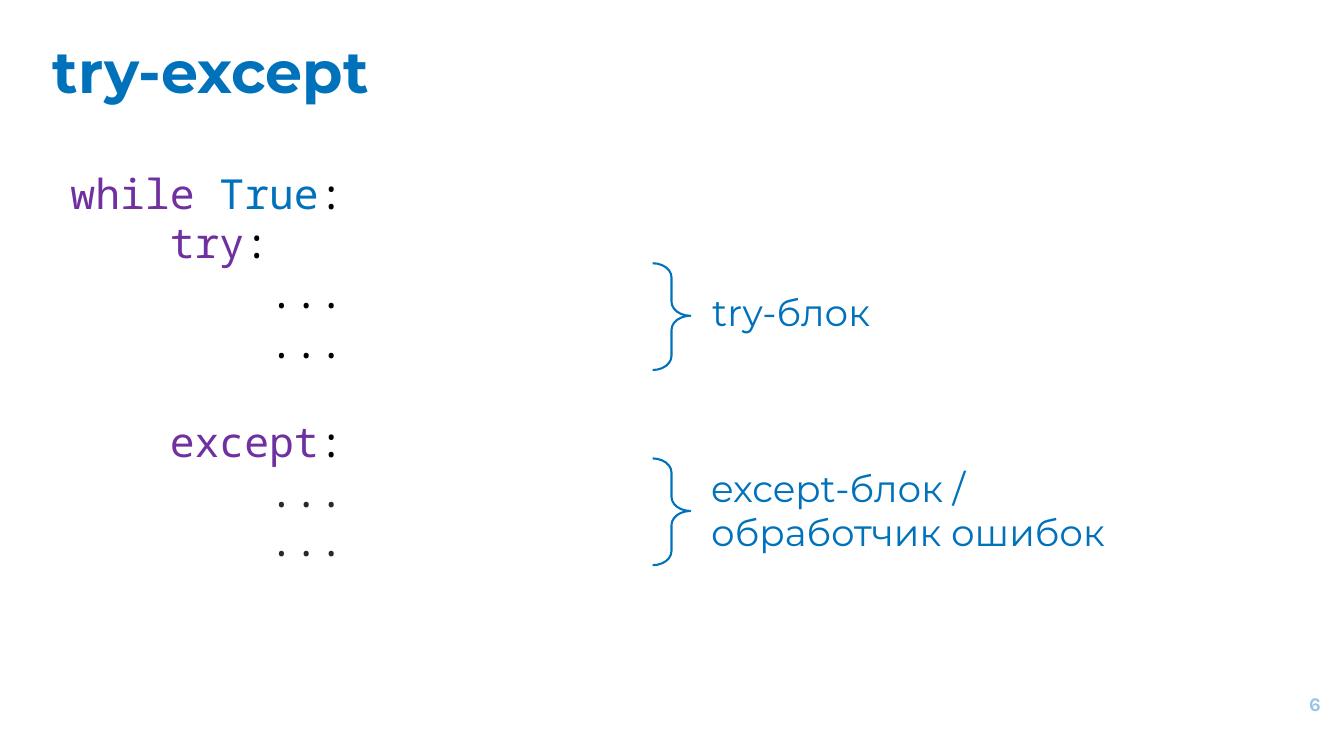
from pptx import Presentation
from pptx.dml.color import RGBColor
from pptx.enum import shapes, text
from pptx.util import Inches, Pt

BLUE = RGBColor(0x00, 0x72, 0xBC)
PALE_BLUE = RGBColor(0x92, 0xC5, 0xEB)
PURPLE = RGBColor(0x70, 0x30, 0xA0)
BLACK = RGBColor(0, 0, 0)
DARK = RGBColor(0x29, 0x29, 0x29)

CODE = [
    [("while ", PURPLE), ("True", BLUE), (":", BLACK)],
    [("    ", BLACK), ("try", PURPLE), (":", BLACK)],
    [("        ...", BLACK)],
    [("        ...", BLACK)],
    [],
    [("    ", BLACK), ("except", PURPLE), (":", BLACK)],
    [("        ...", DARK)],
    [("        ...", DARK)],
]


def add_text(slide, box, lines, font, size, bold=False, inset=0.05, side=0.1):
    """Place lines of (wording, colour) runs in a box and return its frame."""
    frame = slide.shapes.add_textbox(*map(Inches, box)).text_frame
    frame.word_wrap = True
    frame.margin_top = frame.margin_bottom = Inches(inset)
    frame.margin_left = frame.margin_right = Inches(side)
    for index, line in enumerate(lines):
        paragraph = frame.paragraphs[0] if index == 0 else frame.add_paragraph()
        paragraph.font.size = Pt(size)
        for wording, colour in line:
            run = paragraph.add_run()
            run.text = wording
            run.font.name = font
            run.font.size = Pt(size)
            run.font.bold = bold
            run.font.color.rgb = colour
    return frame


def add_title(slide, box):
    """Write the slide heading."""
    add_text(slide, box, [[("try-except", BLUE)]], "Montserrat", 85, True, 0.1)


def add_page_number(slide, box):
    """Write the page number at the right of its box."""
    frame = add_text(slide, box, [[("6", PALE_BLUE)]], "Karla", 28, True, 0.1)
    frame.vertical_anchor = text.MSO_ANCHOR.MIDDLE
    frame.paragraphs[0].alignment = text.PP_ALIGN.RIGHT


def add_code(slide, box):
    """Write the code listing with evenly pitched lines."""
    frame = add_text(slide, box, CODE, "Noto Sans Mono", 60)
    frame.margin_top = Inches(0.13)
    for paragraph in frame.paragraphs:
        paragraph.line_spacing = Pt(72)


def add_block_note(slide, brace_box, label_box, lines):
    """Draw a brace beside a code block and label it."""
    brace = slide.shapes.add_shape(
        shapes.MSO_SHAPE.RIGHT_BRACE, *map(Inches, brace_box))
    brace.adjustments[0] = 0.375
    brace.adjustments[1] = 0.492
    brace.shadow.inherit = False
    brace.fill.background()
    brace.line.color.rgb = BLUE
    brace.line.width = Pt(3)
    add_text(slide, label_box, [[(line, BLUE)] for line in lines], "Montserrat", 54)


def main():
    """Build and save the slide."""
    deck = Presentation()
    deck.slide_width, deck.slide_height = Inches(27.06), Inches(15)
    slide = deck.slides.add_slide(deck.slide_layouts[6])
    add_title(slide, (0.96, 0.61, 17.05, 1.92))
    add_page_number(slide, (25.07, 13.6, 1.62, 1.15))
    add_code(slide, (1.32, 3.25, 11.49, 9.45))
    add_block_note(slide, (13.14, 5.3, 0.76, 2.15),
                   (14.24, 5.77, 3.94, 1.01), ["try-блок"])
    add_block_note(slide, (13.14, 9.23, 0.76, 2.15),
                   (14.22, 9.31, 9.7, 1.92), ["except-блок /", "обработчик ошибок"])
    deck.save("out.pptx")


if __name__ == "__main__":
    main()
